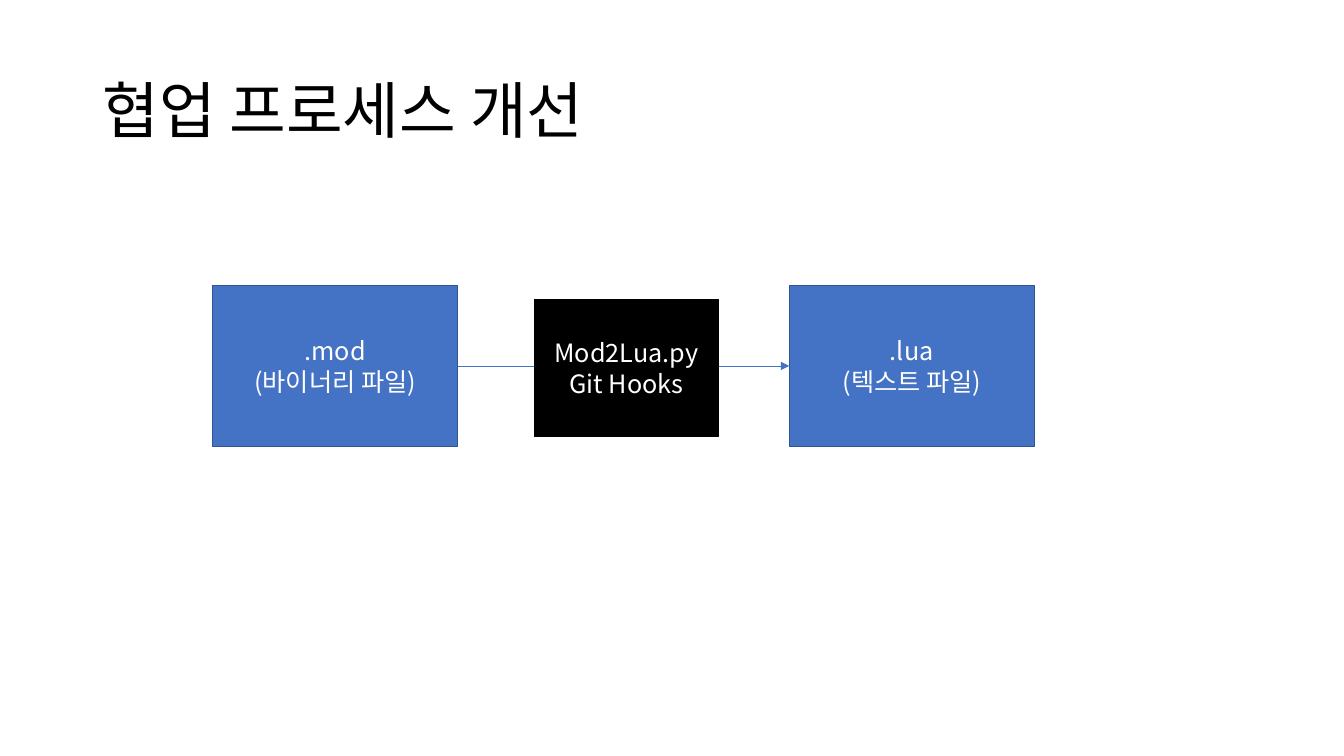
"""Builds the slide on converting binary mod files to Lua text."""
from lxml import etree
from pptx import Presentation
from pptx import util as u
from pptx.dml import color
from pptx.enum import shapes, text
from pptx.oxml import ns


def rgb(value):
    return color.RGBColor.from_string(value)


def apply(target, values):
    for name, value in values.items():
        setattr(target, name, value)


class Flow:
    font = "Noto Sans CJK KR"
    frame_format = {
        "word_wrap": True,
        "auto_size": text.MSO_AUTO_SIZE.NONE,
        "vertical_anchor": text.MSO_ANCHOR.MIDDLE,
    }

    def __init__(self, slide):
        self.slide = slide

    def place(self, part, left, top, width, height):
        apply(part, {"left": u.Pt(left), "top": u.Pt(top),
                     "width": u.Pt(width), "height": u.Pt(height)})

    def set_lines(self, frame, lines, size, ink, layout):
        apply(frame, self.frame_format)
        frame.text = "\n".join(lines)
        for paragraph in frame.paragraphs:
            apply(paragraph, layout)
            for run in paragraph.runs:
                apply(run.font, {"name": self.font, "size": u.Pt(size)})
                run.font.color.rgb = rgb(ink)
                etree.SubElement(run.font._element, ns.qn("a:ea"), typeface=self.font)

    def title(self, words, *bounds):
        heading = self.slide.shapes.title
        self.place(heading, *bounds)
        self.set_lines(heading.text_frame, [words], 44, "000000",
                       {"alignment": text.PP_ALIGN.LEFT, "line_spacing": 0.9})

    def box(self, lines, fill, edge, *bounds):
        step = self.slide.shapes.add_shape(
            shapes.MSO_SHAPE.RECTANGLE, *map(u.Pt, bounds))
        step.shadow.inherit = False
        step.fill.solid()
        step.fill.fore_color.rgb = rgb(fill)
        step.line.color.rgb = rgb(edge)
        step.line.width = u.Pt(1)
        self.set_lines(step.text_frame, lines, 18, "FFFFFF",
                       {"alignment": text.PP_ALIGN.CENTER})
        return step

    def arrow(self, start, end):
        conversion = self.slide.shapes.add_connector(
            shapes.MSO_CONNECTOR.STRAIGHT, 0, 0, 0, 0)
        conversion.begin_connect(start, 3)
        conversion.end_connect(end, 1)
        conversion.line.color.rgb = rgb("4472C4")
        conversion.line.width = u.Pt(0.5)
        properties = conversion._element.spPr
        etree.SubElement(properties.get_or_add_ln(), ns.qn("a:tailEnd"), type="triangle")
        etree.SubElement(properties, ns.qn("a:effectLst"))


def main():
    deck = Presentation()
    apply(deck, {"slide_width": u.Pt(960), "slide_height": u.Pt(540)})
    flow = Flow(deck.slides.add_slide(deck.slide_layouts[5]))
    flow.title("협업 프로세스 개선", 66, 28.8, 828, 104.4)
    binary, source = [
        flow.box(lines, "4472C4", "325491", left, 203.8, 175, 115.2)
        for lines, left in (
            ([".mod", "(바이너리 파일)"], 151.9),
            ([".lua", "(텍스트 파일)"], 563.8),
        )
    ]
    flow.arrow(binary, source)
    flow.box(["Mod2Lua.py", "Git Hooks"], "000000", "000000", 381.6, 213.8, 131.8, 97.9)
    deck.save("out.pptx")


if __name__ == "__main__":
    main()
